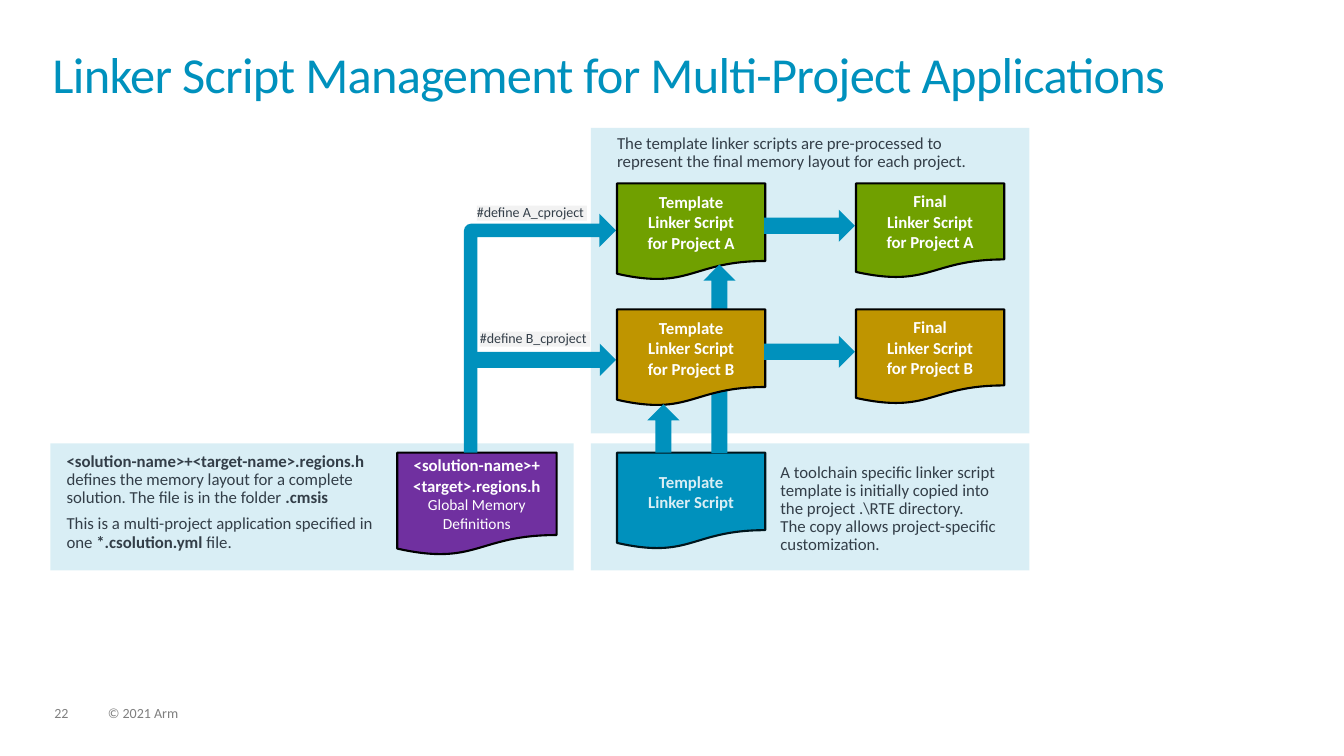
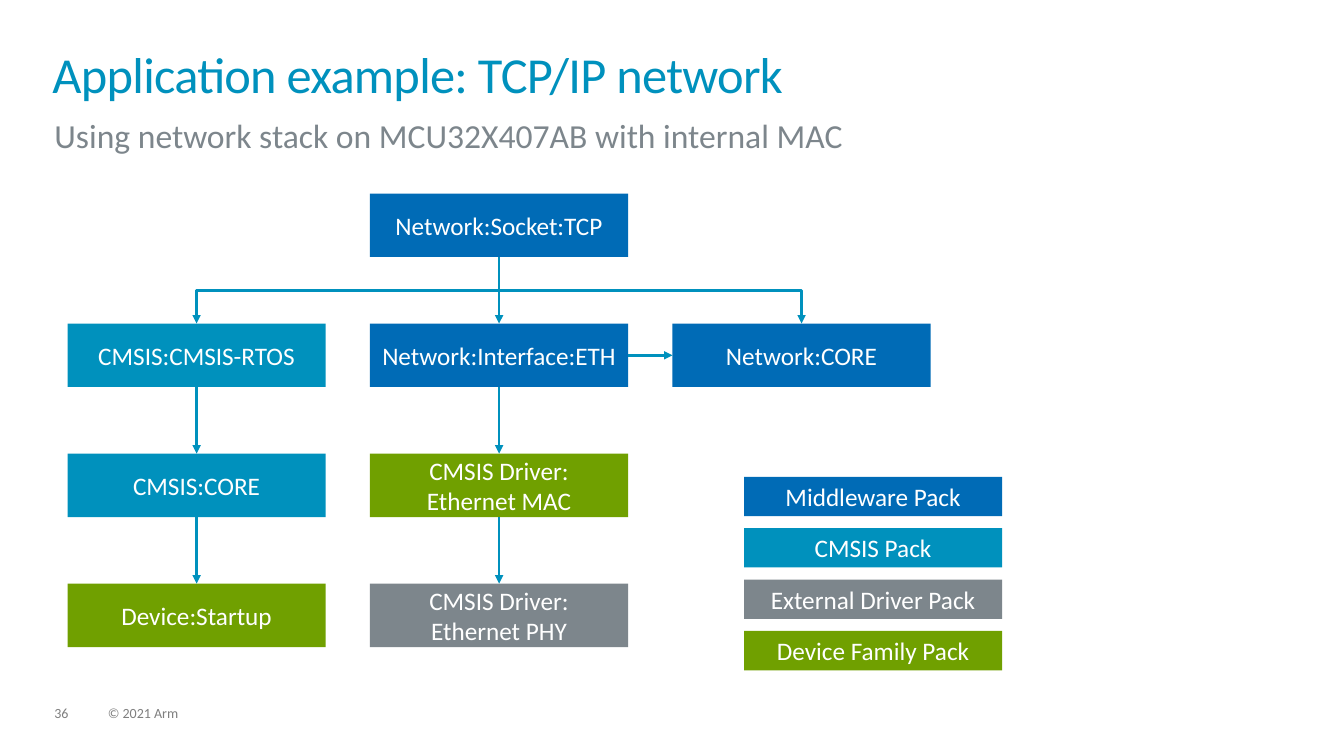
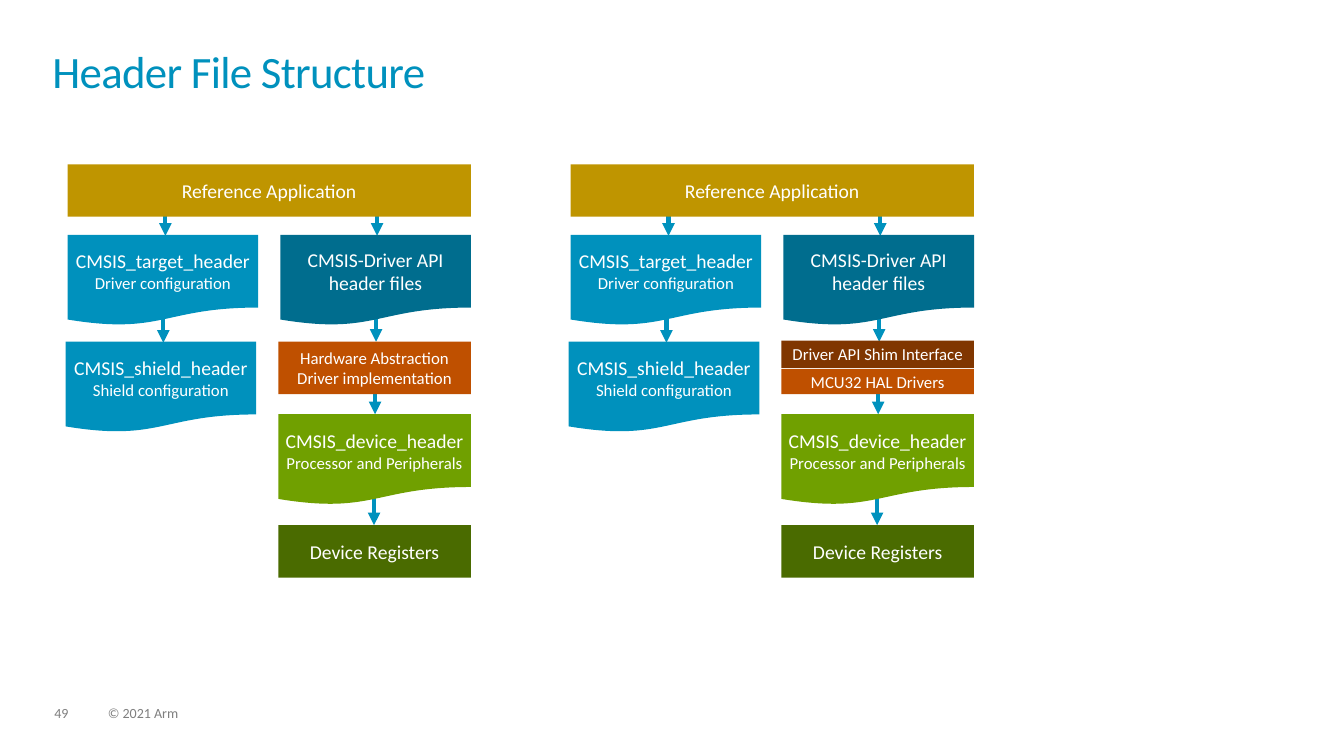
from copy import deepcopy
from dataclasses import dataclass
from typing import NamedTuple

from lxml.etree import SubElement
from pptx import Presentation
from pptx.dml.color import RGBColor
from pptx.enum.shapes import MSO_CONNECTOR, MSO_SHAPE
from pptx.enum.text import MSO_ANCHOR, PP_ALIGN
from pptx.oxml.ns import qn
from pptx.util import Inches, Pt

FONT = "Calibri"
BLACK = RGBColor(0x00, 0x00, 0x00)
WHITE = RGBColor(0xFF, 0xFF, 0xFF)
TEAL = RGBColor(0x00, 0x91, 0xBD)
DARK_TEAL = RGBColor(0x00, 0x6D, 0x8E)
BLUE = RGBColor(0x00, 0x6B, 0xB6)
GREEN = RGBColor(0x70, 0xA0, 0x00)
DARK_GREEN = RGBColor(0x4A, 0x6B, 0x00)
GOLD = RGBColor(0xBF, 0x95, 0x00)
ORANGE = RGBColor(0xBF, 0x50, 0x00)
BROWN = RGBColor(0x80, 0x36, 0x00)
PURPLE = RGBColor(0x70, 0x30, 0xA0)
SLATE = RGBColor(0x7D, 0x86, 0x8C)
FOOTER_GRAY = RGBColor(0x7F, 0x7F, 0x7F)
LIGHT_GRAY = RGBColor(0xF2, 0xF2, 0xF2)
INK = RGBColor(0x33, 0x3E, 0x48)

RECT = MSO_SHAPE.RECTANGLE
DOC = MSO_SHAPE.FLOWCHART_DOCUMENT
ARROW = MSO_SHAPE.RIGHT_ARROW
NO_MARGINS = (0, 0, 0, 0)
SIDE_MARGINS = (0.1, 0.05, 0.1, 0.05)
TIGHT_MARGINS = (0, 0.05, 0, 0.05)


class Run(NamedTuple):
    text: str
    bold: bool | None = None
    size: float | None = None


Text = str | list[list[Run]]


@dataclass(frozen=True)
class Box:
    x: float
    y: float
    w: float
    h: float
    fill: RGBColor
    text: Text = ""
    kind: MSO_SHAPE = RECT
    size: float = 14
    margins: tuple = SIDE_MARGINS


class Link(NamedTuple):
    x1: float
    y1: float
    x2: float
    y2: float


def write(tf, text: Text, *, size: float, color: RGBColor, bold: bool = False,
          align=PP_ALIGN.LEFT, anchor=MSO_ANCHOR.TOP, margins: tuple = NO_MARGINS,
          spacing: float | None = None, after: float = 0, tracking: int = 0) -> None:
    tf.word_wrap = True
    tf.vertical_anchor = anchor
    tf.margin_left, tf.margin_top, tf.margin_right, tf.margin_bottom = map(Inches, margins)
    paragraphs = [[Run(text)]] if isinstance(text, str) else text
    for i, runs in enumerate(paragraphs):
        p = tf.add_paragraph() if i else tf.paragraphs[0]
        p.alignment = align
        p.space_after = Pt(after)
        if spacing:
            p.line_spacing = spacing
        for run in runs:
            for j, part in enumerate(run.text.split("\n")):
                if j:
                    p.add_line_break()
                    p._p[-1].append(deepcopy(r._r.rPr))
                if not part:
                    continue
                r = p.add_run()
                r.text = part
                r.font.name = FONT
                r.font.size = Pt(run.size or size)
                r.font.bold = bold if run.bold is None else run.bold
                r.font.color.rgb = color
                if tracking:
                    r._r.rPr.set("spc", str(tracking))


def add_text(slide, x: float, y: float, w: float, h: float, text: Text, *,
             size: float = 12, color: RGBColor = INK, spacing: float | None = 0.9,
             after: float = 6, tracking: int = 0) -> None:
    sp = slide.shapes.add_textbox(Inches(x), Inches(y), Inches(w), Inches(h))
    write(sp.text_frame, text, size=size, color=color, spacing=spacing,
          after=after, tracking=tracking)


def add_shape(slide, kind, x: float, y: float, w: float, h: float, fill: RGBColor, *,
              alpha: int | None = None, outline: bool = False, rotation: float = 0):
    sp = slide.shapes.add_shape(kind, Inches(x), Inches(y), Inches(w), Inches(h))
    sp.shadow.inherit = False
    sp.rotation = rotation
    sp.fill.solid()
    sp.fill.fore_color.rgb = fill
    if alpha:
        color = sp.fill._xPr.find(qn("a:solidFill"))[0]
        SubElement(color, qn("a:alpha")).set("val", str(alpha * 1000))
    if outline:
        sp.line.color.rgb = BLACK
        sp.line.width = Pt(1.5)
    else:
        sp.line.fill.background()
    return sp


def add_box(slide, box: Box, *, bold: bool = False, outline: bool = False) -> None:
    sp = add_shape(slide, box.kind, box.x, box.y, box.w, box.h, box.fill, outline=outline)
    write(sp.text_frame, box.text, size=box.size, color=WHITE, bold=bold,
          align=PP_ALIGN.CENTER, anchor=MSO_ANCHOR.MIDDLE, margins=box.margins)


def add_link(slide, link: Link, *, width: float, kind=MSO_CONNECTOR.STRAIGHT):
    cxn = slide.shapes.add_connector(kind, *map(Inches, link))
    cxn.line.color.rgb = TEAL
    cxn.line.width = Pt(width)
    SubElement(cxn.line._get_or_add_ln(), qn("a:tailEnd")).set("type", "triangle")
    SubElement(cxn._element.spPr, qn("a:effectLst"))
    return cxn


def add_branch(slide, link: Link, *, width: float) -> None:
    to_right = link.x2 > link.x1
    cx, cy = (link.x1 + link.x2) / 2, (link.y1 + link.y2) / 2
    dx = (link.y2 - link.y1) / 2 * (1 if to_right else -1)
    dy = abs(link.x2 - link.x1) / 2
    cxn = add_link(slide, Link(cx + dx, cy - dy, cx - dx, cy + dy), width=width,
                   kind=MSO_CONNECTOR.ELBOW)
    cxn._element.spPr.xfrm.rot = 270 if to_right else 90


def new_slide(prs, title: str, number: int, *, title_size: float = 36):
    slide = prs.slides.add_slide(prs.slide_layouts[6])
    add_text(slide, 0.54, 7.01, 0.34, 0.15, str(number), size=10, color=FOOTER_GRAY)
    add_text(slide, 1.07, 7.01, 5.07, 0.15, "© 2021 Arm", size=10, color=FOOTER_GRAY)
    add_text(slide, 0.52, 0.52, 12.28, 0.56, title, size=title_size, color=TEAL,
             spacing=0.85, after=0, tracking=-50)
    return slide


def linker_slide(prs) -> None:
    slide = new_slide(prs, "Linker Script Management for Multi-Project Applications", 22)
    template_x, final_x, doc_w, doc_h = 6.12, 8.49, 1.47, 0.96

    def band(x: float, y: float, w: float, h: float) -> None:
        add_shape(slide, RECT, x, y, w, h, TEAL, alpha=15)

    def doc(x: float, y: float, fill: RGBColor, text: Text, *, w: float = doc_w,
            h: float = doc_h, margins: tuple = SIDE_MARGINS) -> None:
        add_box(slide, Box(x, y, w, h, fill, text, DOC, 12, margins), bold=True, outline=True)

    def arrow(x: float, y: float, w: float, rotation: float = 0) -> None:
        add_shape(slide, ARROW, x, y, w, 0.32, TEAL, rotation=rotation)

    def define(x: float, y: float, text: str) -> None:
        sp = add_shape(slide, RECT, x, y, 1.09, 0.15, LIGHT_GRAY)
        write(sp.text_frame, text, size=10, color=INK, spacing=0.9, after=6)

    band(5.86, 1.27, 4.35, 3.03)
    band(0.5, 4.4, 5.19, 1.26)
    doc(template_x, 4.49, TEAL, "Template\nLinker Script")
    band(5.86, 4.4, 4.35, 1.26)
    doc(3.94, 4.49, PURPLE, [
        [Run("<solution-name>+\n<target>.regions.h")],
        [Run("Global Memory Definitions", False, 11)],
    ], w=1.58, h=1.02, margins=TIGHT_MARGINS)

    add_text(slide, 0.66, 4.49, 3.11, 0.99, [
        [Run("<solution-name>+<target-name>.regions.h", True),
         Run(" defines the memory layout for a complete solution. The file is in the folder "),
         Run(".cmsis", True)],
        [Run("This is a multi-project application specified in one "),
         Run("*.csolution.yml", True), Run(" file.")],
    ])
    add_text(slide, 6.12, 1.34, 4.28, 0.36,
             "The template linker scripts are pre-processed to\n"
             "represent the final memory layout for each project.")
    add_text(slide, 7.74, 4.6, 2.38, 0.91,
             "A toolchain specific linker script\ntemplate is initially copied into\n"
             "the project .\\RTE directory.\n"
             "The copy allows project-specific customization.")

    bent = add_shape(slide, MSO_SHAPE.BENT_ARROW, 4.6, 2.12, 1.51, 2.37, TEAL)
    for i, value in enumerate((0.09, 0.11, 0.11, 0.05)):
        bent.adjustments[i] = value
    arrow(4.67, 3.41, 1.44)
    define(4.73, 2.04, "#define A_cproject")
    define(4.76, 3.29, "#define B_cproject")

    for name, y, fill in (("A", 1.82, GREEN), ("B", 3.07, GOLD)):
        doc(template_x, y, fill, f"Template\nLinker Script\nfor Project {name}")
        doc(final_x, y, fill, f"Final\nLinker Script\nfor Project {name}", h=0.94)
        arrow(7.58, y + 0.26, 0.9)
        if name == "A":
            arrow(6.2, 3.4, 1.87, 270)
    arrow(6.34, 4.09, 0.48, 270)


def network_slide(prs) -> None:
    slide = new_slide(prs, "Application example: TCP/IP network", 36)
    add_text(slide, 0.54, 1.14, 12.23, 0.38,
             "Using network stack on MCU32X407AB with internal MAC",
             size=24, color=SLATE, spacing=None, after=0)
    w, h = 2.56, 0.63

    def left(col: int) -> float:
        return 0.67 + 3 * col

    def top(row: int) -> float:
        return 1.92 + 1.29 * row

    def center(col: int) -> float:
        return left(col) + w / 2

    components = (
        (1, 0, BLUE, "Network:Socket:TCP"),
        (0, 1, TEAL, "CMSIS:CMSIS-RTOS"),
        (1, 1, BLUE, "Network:Interface:ETH"),
        (2, 1, BLUE, "Network:CORE"),
        (0, 2, TEAL, "CMSIS:CORE"),
        (1, 2, GREEN, "CMSIS Driver:\nEthernet MAC"),
        (0, 3, GREEN, "Device:Startup"),
        (1, 3, SLATE, "CMSIS Driver:\nEthernet PHY"),
    )
    for col, row, fill, text in components:
        add_box(slide, Box(left(col), top(row), w, h, fill, text, size=18))

    legend = (
        (BLUE, "Middleware Pack"),
        (TEAL, "CMSIS Pack"),
        (SLATE, "External Driver Pack"),
        (GREEN, "Device Family Pack"),
    )
    for i, (fill, text) in enumerate(legend):
        add_box(slide, Box(7.38, 4.73 + 0.51 * i, w, 0.39, fill, text, size=18))

    for col in (0, 2):
        add_branch(slide, Link(center(1), top(0) + h, center(col), top(1)), width=2)
    for col, row in ((1, 0), (0, 1), (0, 2), (1, 1), (1, 2)):
        add_link(slide, Link(center(col), top(row) + h, center(col), top(row + 1)), width=2)
    middle = top(1) + h / 2
    add_link(slide, Link(left(1) + w, middle, left(2), middle), width=2)


def header_slide(prs) -> None:
    slide = new_slide(prs, "Header File Structure", 49, title_size=32)

    def header(x: float, y: float, w: float, fill: RGBColor, name: str, role: str) -> Box:
        text = [[Run(f"{name}\n"), Run(role, size=12)]]
        return Box(x, y, w, 0.9, fill, text, DOC, margins=TIGHT_MARGINS)

    generic_driver = [
        Box(2.76, 3.39, 1.91, 0.52, ORANGE,
            [[Run("Hardware Abstraction")], [Run("Driver implementation")]],
            size=12, margins=TIGHT_MARGINS),
    ]
    shim_driver = [
        Box(2.76, 3.38, 1.91, 0.27, BROWN, "Driver API Shim Interface", size=12),
        Box(2.76, 3.66, 1.91, 0.25, ORANGE, "MCU32 HAL Drivers", size=12),
    ]
    common = [
        Box(0.67, 1.63, 4, 0.52, GOLD, "Reference Application"),
        header(0.67, 2.33, 1.89, TEAL, "CMSIS_target_header", "Driver configuration"),
        header(0.65, 3.39, 1.89, TEAL, "CMSIS_shield_header", "Shield configuration"),
        Box(2.78, 2.33, 1.89, 0.9, DARK_TEAL, "CMSIS-Driver API\nheader files", DOC),
        header(2.76, 4.11, 1.91, GREEN, "CMSIS_device_header", "Processor and Peripherals"),
        Box(2.76, 5.21, 1.91, 0.52, DARK_GREEN, "Device Registers"),
    ]
    arrows = ((1.64, 2.07, 2.34), (3.74, 2.07, 2.34), (1.62, 3.13, 3.4),
              (3.73, 3.12, 3.39), (3.72, 3.84, 4.11), (3.71, 4.74, 5.21))

    for dx, driver in ((0, generic_driver), (4.99, shim_driver)):
        for x, y1, y2 in arrows:
            add_link(slide, Link(x + dx, y1, x + dx, y2), width=3)
        for box in common + driver:
            add_box(slide, Box(box.x + dx, box.y, box.w, box.h, box.fill, box.text,
                               box.kind, box.size, box.margins))


def main() -> None:
    prs = Presentation()
    prs.slide_width, prs.slide_height = Inches(13.33), Inches(7.5)
    linker_slide(prs)
    network_slide(prs)
    header_slide(prs)
    prs.save("out.pptx")


if __name__ == "__main__":
    main()
